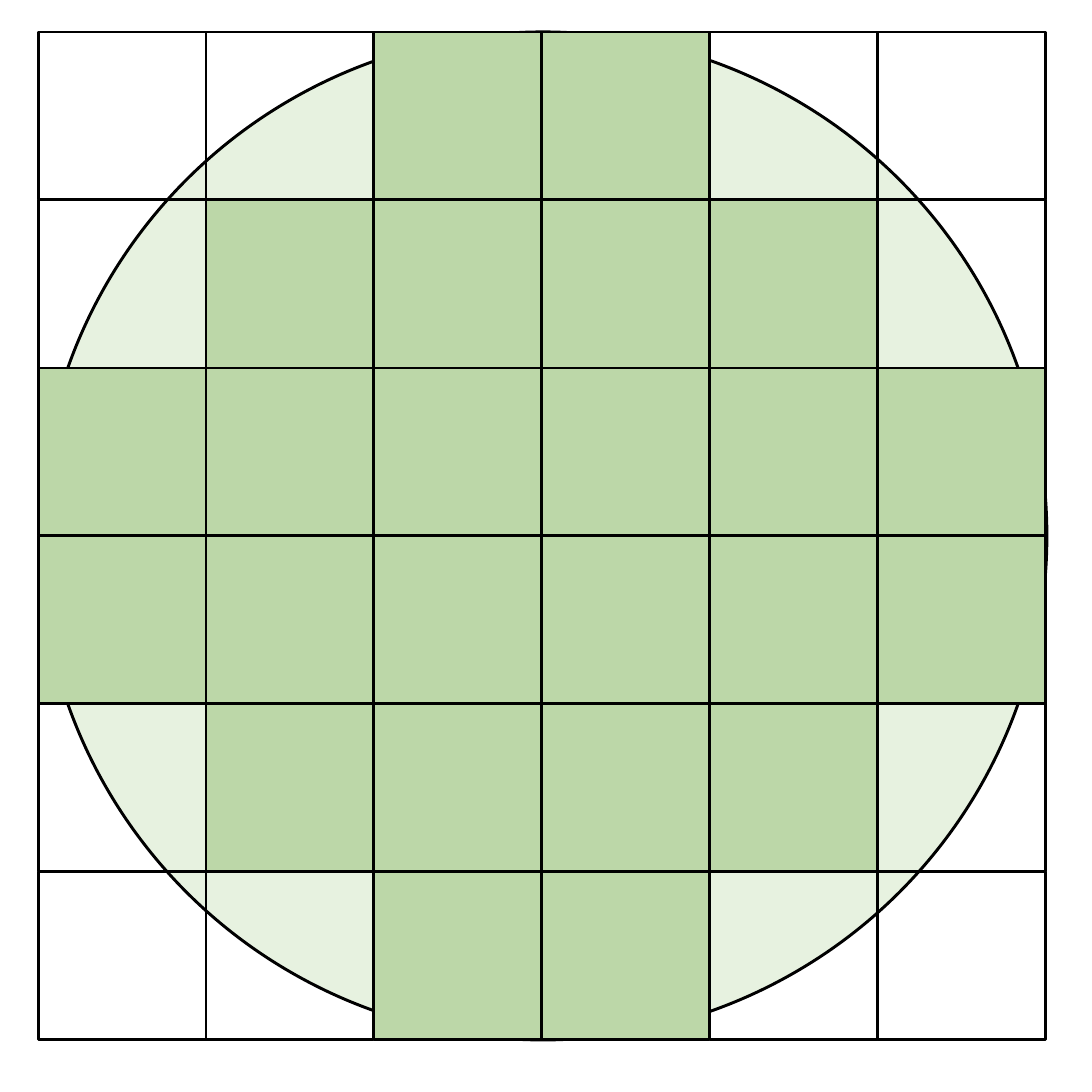
import dataclasses
import itertools

import lxml.etree
import pptx
import pptx.dml.color
import pptx.enum.shapes
import pptx.oxml.ns
import pptx.util

EMU_PER_PIXEL = 914400 / 213.3
PAGE_SIDE = 1092
GRID_LEFT, GRID_TOP = 38, 32
CELL_SIDE = 168
CELL_COUNT = 6


@dataclasses.dataclass(frozen=True)
class Theme:
    """Colours and line width of the slide."""

    cell: str = "BCD7A8"
    circle: str = "A9D18E"
    circle_opacity: int = 27
    outline: str = "000000"
    outline_points: float = 1


THEME = Theme()
SHAPES = pptx.enum.shapes.MSO_SHAPE


def pixels(count):
    """Turn whole pixels into EMU."""
    return pptx.util.Emu(round(count * EMU_PER_PIXEL))


def add_outlined(page, kind, left, top, side, fill=None):
    """Add an outlined shape of equal width and height, hollow without a fill."""
    shape = page.shapes.add_shape(
        kind, pixels(left), pixels(top), pixels(side), pixels(side))
    shape.shadow.inherit = False
    if fill:
        shape.fill.solid()
        shape.fill.fore_color.rgb = pptx.dml.color.RGBColor.from_string(fill)
    else:
        shape.fill.background()
    shape.line.color.rgb = pptx.dml.color.RGBColor.from_string(THEME.outline)
    shape.line.width = pptx.util.Pt(THEME.outline_points)
    return shape


def set_opacity(shape, percent):
    """Make the solid fill of a shape partly transparent."""
    name = pptx.oxml.ns.qn
    colour = shape._element.spPr.find(name("a:solidFill")).find(name("a:srgbClr"))
    alpha = lxml.etree.SubElement(colour, name("a:alpha"))
    alpha.set("val", str(percent * 1000))


def add_circle(page):
    """Add the pale circle that spans the whole grid."""
    circle = add_outlined(page, SHAPES.OVAL, GRID_LEFT + 1, GRID_TOP,
                          CELL_SIDE * CELL_COUNT, THEME.circle)
    set_opacity(circle, THEME.circle_opacity)


def is_filled(row, column):
    """Tell whether a cell lies far enough from its nearest grid corner."""
    last = CELL_COUNT - 1
    return min(row, last - row) + min(column, last - column) >= 2


def add_grid(page):
    """Add the square cells, filled where they approximate the circle."""
    for row, column in itertools.product(range(CELL_COUNT), repeat=2):
        add_outlined(page, SHAPES.RECTANGLE,
                     GRID_LEFT + column * CELL_SIDE,
                     GRID_TOP + row * CELL_SIDE, CELL_SIDE,
                     THEME.cell if is_filled(row, column) else None)


def main():
    """Build the slide and save it."""
    deck = pptx.Presentation()
    deck.slide_width = deck.slide_height = pixels(PAGE_SIDE)
    page = deck.slides.add_slide(deck.slide_layouts[6])
    add_circle(page)
    add_grid(page)
    deck.save("out.pptx")


main()
